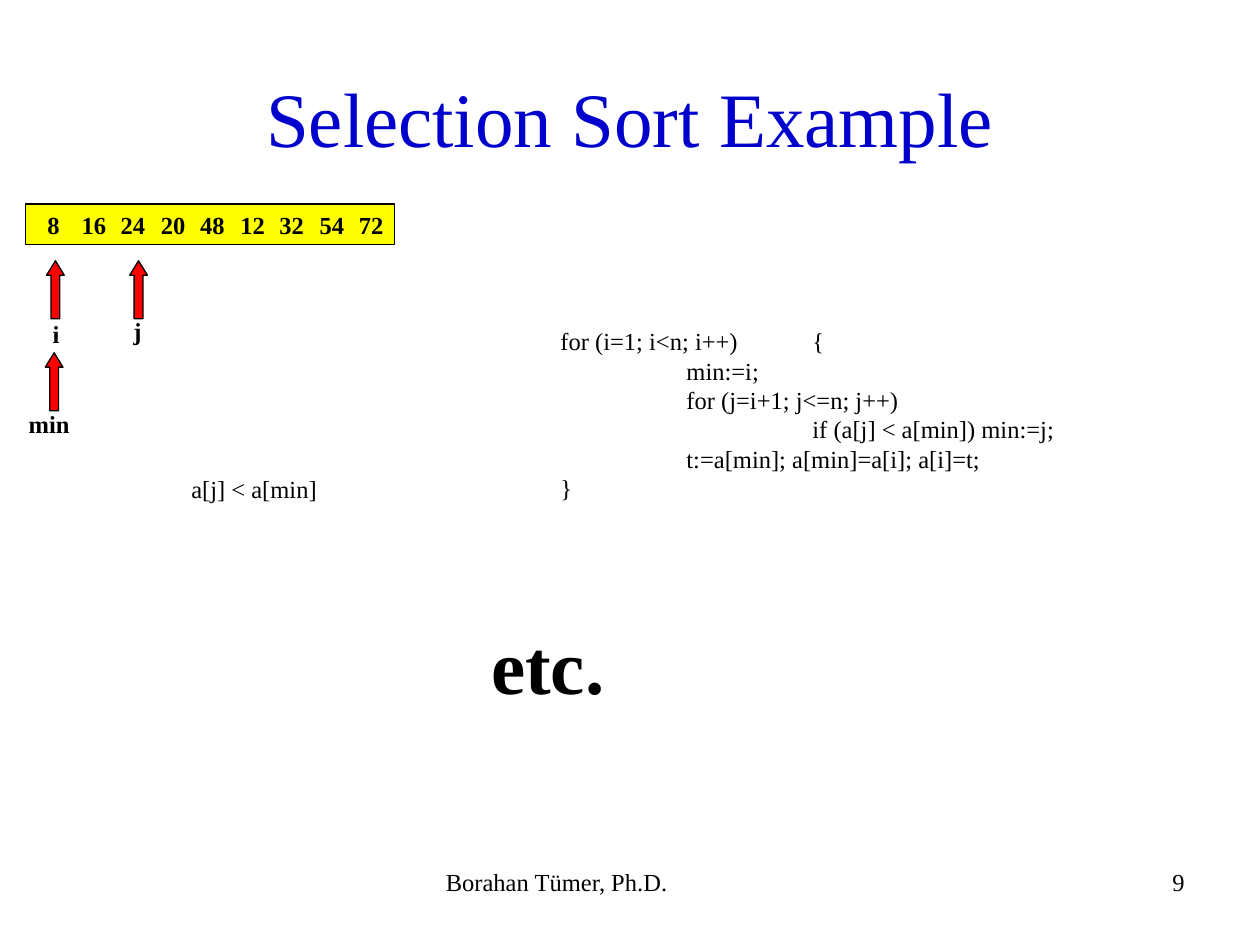
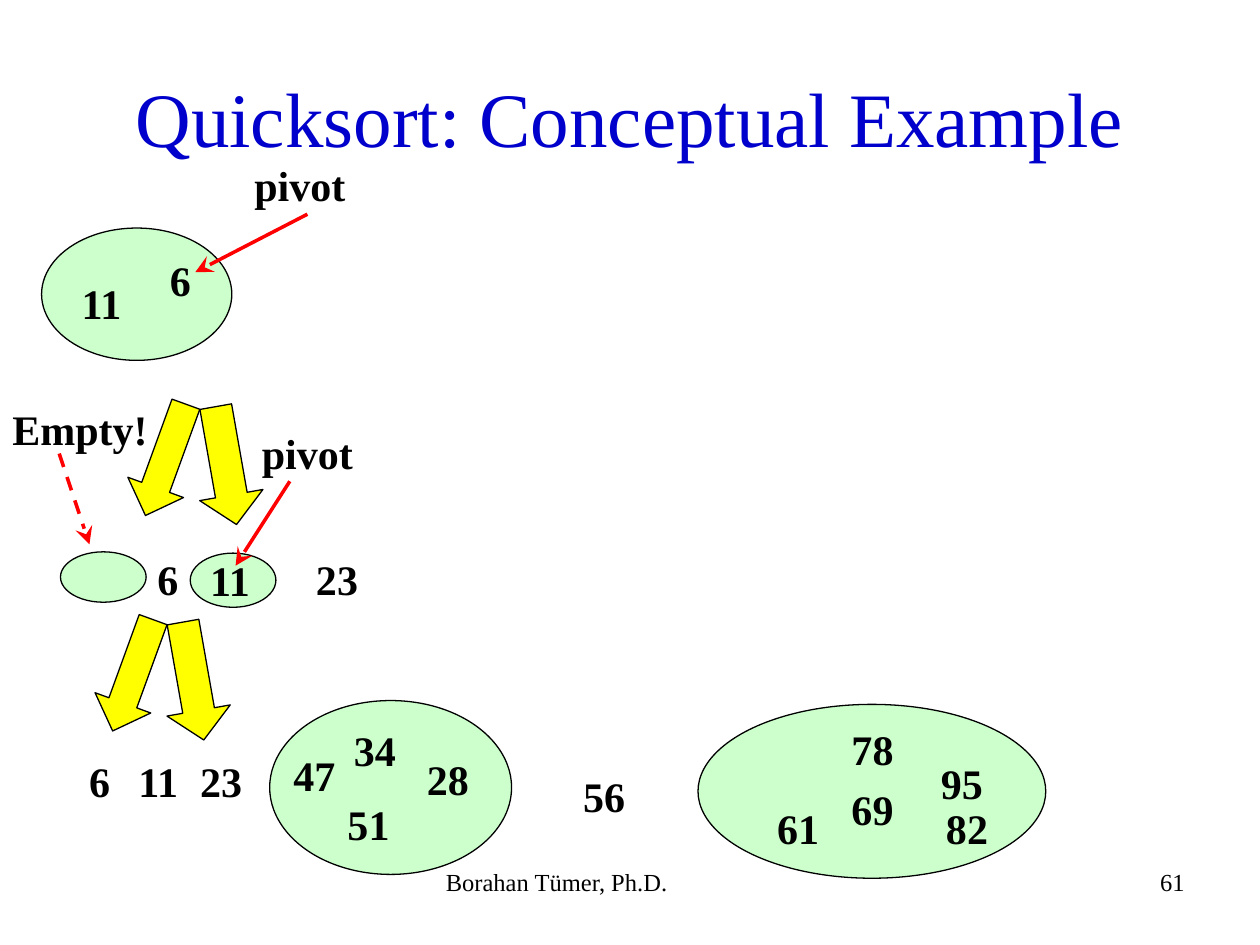
from typing import NamedTuple

from lxml.etree import SubElement
from pptx import Presentation
from pptx.dml.color import RGBColor
from pptx.enum.dml import MSO_LINE_DASH_STYLE as Dash
from pptx.enum.shapes import MSO_CONNECTOR_TYPE as Link, MSO_SHAPE as Kind
from pptx.enum.text import MSO_ANCHOR as Anchor, MSO_AUTO_SIZE as Fit, PP_ALIGN as Align
from pptx.oxml.ns import qn
from pptx.util import Emu, Pt

PX = 9144  # 100 px to the inch
FONT = "Times New Roman"
HUES = {
    "title": "0000CC",
    "ink": "000000",
    "paper": "FFFFFF",
    "gold": "FFFF00",
    "red": "FF0000",
    "mint": "CCFFCC",
}


class Label(NamedTuple):
    text: str
    x: int
    y: int
    w: int
    size: int = 24
    bold: bool = True
    fill: str = ""


class Form(NamedTuple):
    kind: Kind
    x: int
    y: int
    w: int
    h: int
    fill: str = ""
    head: float = 0
    turn: int = 0


class Arrow(NamedTuple):
    x1: int
    y1: int
    x2: int
    y2: int
    dash: bool = False


def px(*nums: int) -> list[Emu]:
    return [Emu(num * PX) for num in nums]


def hue(name: str) -> RGBColor:
    return RGBColor.from_string(HUES[name])


def add_tabs(para) -> None:
    tabs = SubElement(para._p.get_or_add_pPr(), qn("a:tabLst"))
    for stop in px(100, 200):
        SubElement(tabs, qn("a:tab"), pos=str(stop), algn="l")


def write(frame, text: str, size: int, bold: bool = False,
          align: Align = Align.LEFT, tint: str = "ink") -> None:
    for num, line in enumerate(text.split("\n")):
        para = frame.add_paragraph() if num else frame.paragraphs[0]
        para.text = line
        para.alignment = align
        if "\t" in line:
            add_tabs(para)
        font = para.font
        font.name, font.size, font.bold = FONT, Pt(size), bold
        font.color.rgb = hue(tint)


def put_label(slide, item: Label) -> None:
    lines = item.text.count("\n") + 1
    high = round(item.size * lines * 5 / 3) + 10
    box = slide.shapes.add_textbox(*px(item.x, item.y, item.w, high))
    if item.fill:
        box.fill.solid()
        box.fill.fore_color.rgb = hue(item.fill)
    frame = box.text_frame
    frame.word_wrap = False
    frame.auto_size = Fit.SHAPE_TO_FIT_TEXT
    write(frame, item.text, item.size, item.bold)


def put_form(slide, item: Form):
    form = slide.shapes.add_shape(item.kind, *px(item.x, item.y, item.w, item.h))
    form.shadow.inherit = False
    form.rotation = item.turn
    if item.head:
        form.adjustments[0] = 0.5
        form.adjustments[1] = item.head
    if item.fill:
        form.fill.solid()
        form.fill.fore_color.rgb = hue(item.fill)
        form.line.color.rgb = hue("ink")
        form.line.width = Pt(0.75)
    else:
        form.fill.background()
        form.line.fill.background()
    return form


def put_cell(slide, text: str, x: int) -> None:
    frame = put_form(slide, Form(Kind.OVAL, x, 162, 31, 32)).text_frame
    frame.margin_left = frame.margin_right = 0
    frame.margin_top = frame.margin_bottom = 0
    frame.word_wrap = False
    frame.vertical_anchor = Anchor.MIDDLE
    write(frame, text, 14, True, Align.CENTER)


def put_arrow(slide, item: Arrow) -> None:
    link = slide.shapes.add_connector(Link.STRAIGHT, *px(*item[:4]))
    line = link.line
    line.color.rgb = hue("red")
    line.width = Pt(2)
    if item.dash:
        line.dash_style = Dash.DASH
    SubElement(line._get_or_add_ln(), qn("a:tailEnd"), type="stealth", w="lg", len="lg")
    SubElement(link._element.spPr, qn("a:effectLst"))


def put_foot(slide, text: str, x: int, w: int, align: Align) -> None:
    frame = slide.shapes.add_textbox(*px(x, 683, w, 52)).text_frame
    frame.word_wrap = True
    write(frame, text, 14, align=align)


def new_slide(deck, title: str, page: int):
    slide = deck.slides.add_slide(deck.slide_layouts[5])
    head = slide.shapes.title
    head.left, head.top, head.width, head.height = px(50, 30, 900, 125)
    frame = head.text_frame
    frame.auto_size = Fit.NONE
    frame.word_wrap = True
    frame.vertical_anchor = Anchor.MIDDLE
    write(frame, title, 44, align=Align.CENTER, tint="title")
    put_foot(slide, "Borahan Tümer, Ph.D.", 344, 317, Align.LEFT)
    put_foot(slide, str(page), 717, 233, Align.RIGHT)
    return slide


# Selection sort: array, code and index marks
CODE = """for (i=1; i<n; i++) \t{
\tmin:=i;
\tfor (j=i+1; j<=n; j++)
\t\tif (a[j] < a[min]) min:=j;
\tt:=a[min]; a[min]=a[i]; a[i]=t;
}"""
ARRAY = (8, 16, 24, 20, 48, 12, 32, 54, 72)
MARKS = [(37, 207), (103, 207), (36, 280)]
NOTES = [
    Label("i", 32, 248, 25, 14),
    Label("j", 96, 246, 26, 14),
    Label("min", 13, 320, 56, 14),
    Label(CODE, 435, 254, 416, 14, False),
    Label("a[j] < a[min]", 142, 371, 120, 14, False, "paper"),
    Label("etc.", 380, 485, 110, 44),
]

# Quicksort: sets, their numbers and the pointers
SETS = [
    (554, 559, 276, 138),
    (33, 181, 151, 105),
    (214, 556, 192, 138),
    (48, 438, 68, 40),
    (151, 439, 68, 43),
]
NUMS = [
    (11, 55, 215), (6, 125, 197),
    (6, 115, 434), (11, 157, 435), (23, 241, 434),
    (6, 61, 595), (11, 100, 595), (23, 149, 595),
    (34, 271, 570), (47, 223, 590), (51, 266, 629), (28, 329, 593),
    (56, 453, 607),
    (82, 741, 632), (78, 666, 569), (95, 737, 596), (69, 666, 617), (61, 607, 632),
]
NAMES = [
    Label("pivot", 192, 122, 92),
    Label("pivot", 198, 334, 92),
    Label("Empty!", 0, 315, 132),
]
ARROWS = [
    Arrow(244, 170, 155, 216),
    Arrow(230, 382, 187, 449),
    Arrow(47, 360, 71, 432, True),
]
FORKS = [(108, 318), (82, 489)]


def draw_select(deck) -> None:
    slide = new_slide(deck, "Selection Sort Example", 9)
    put_form(slide, Form(Kind.RECTANGLE, 20, 162, 293, 32, "gold"))
    for num, value in enumerate(ARRAY):
        put_cell(slide, str(value), 27 + (63 * num + 1) // 2)
    for x, y in MARKS:
        put_form(slide, Form(Kind.UP_ARROW, x, y, 14, 46, "red", 0.815))
    for note in NOTES:
        put_label(slide, note)


def draw_quick(deck) -> None:
    slide = new_slide(deck, "Quicksort: Conceptual Example", 61)
    for x, y in FORKS:
        put_form(slide, Form(Kind.DOWN_ARROW, x, y, 47, 94, "gold", 0.505, 20))
        put_form(slide, Form(Kind.DOWN_ARROW, x + 46, y + 4, 51, 95, "gold", 0.465, 350))
    for area in SETS:
        put_form(slide, Form(Kind.OVAL, *area, "mint"))
    for value, x, y in NUMS:
        put_label(slide, Label(str(value), x, y, 53 if value > 9 else 36))
    for name in NAMES:
        put_label(slide, name)
    for arrow in ARROWS:
        put_arrow(slide, arrow)


def main() -> None:
    deck = Presentation()
    deck.slide_width, deck.slide_height = px(1000, 750)
    draw_select(deck)
    draw_quick(deck)
    deck.save("out.pptx")


if __name__ == "__main__":
    main()
